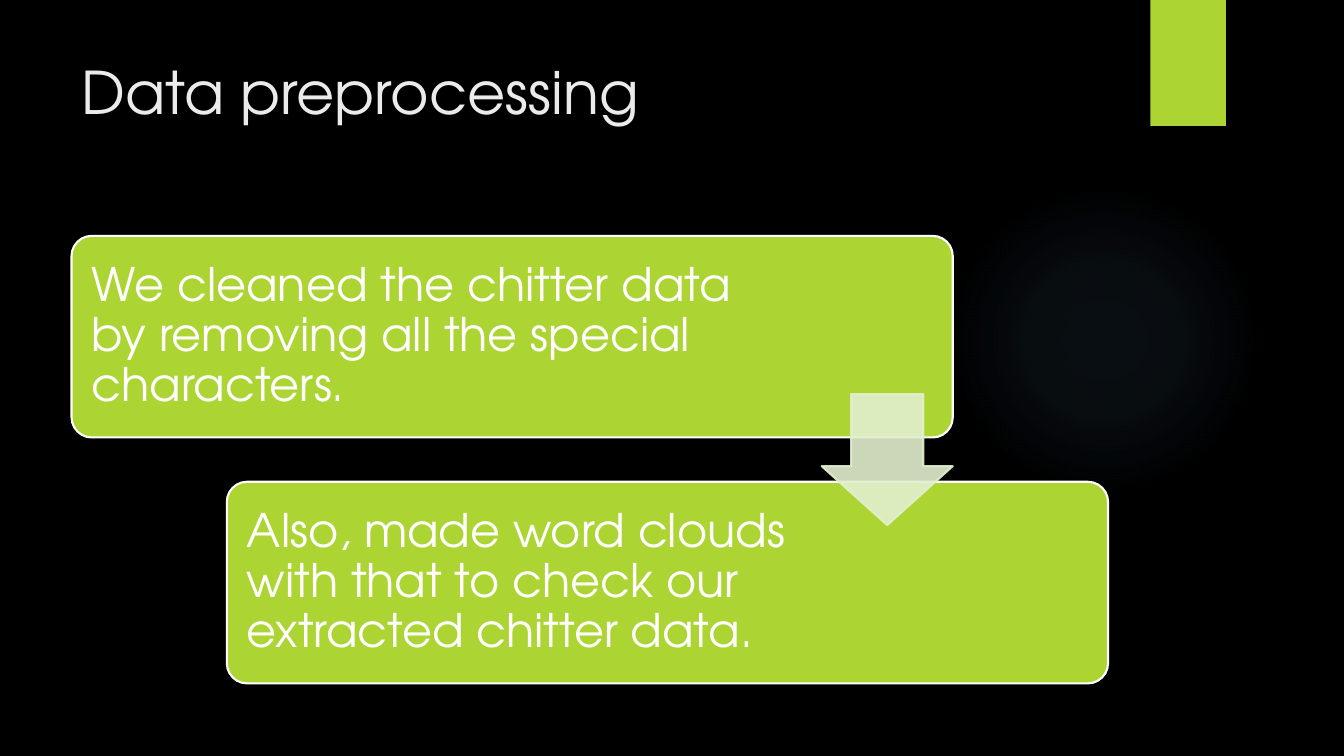
from lxml import etree
from pptx import Presentation
from pptx.dml.color import RGBColor
from pptx.enum.shapes import MSO_SHAPE
from pptx.enum.text import MSO_ANCHOR, PP_ALIGN
from pptx.oxml import parse_xml
from pptx.oxml.ns import nsdecls, qn
from pptx.util import Inches, Pt

FONT = "TeX Gyre Adventor"
LIME, PALE, WHITE = "ACD433", "E3EFCE", "FFFFFF"
LEFT = 0.71
BOX_W, BOX_H = 8.74, 2
STEP_X, STEP_Y = 1.54, 2.44
FIRST_TOP = 2.34
ARROW = 1.3


def rgb(value):
    return RGBColor.from_string(value)


def format_text(tf, size, color):
    for p in tf.paragraphs:
        p.alignment = PP_ALIGN.LEFT
        for r in p.runs:
            r.font.name = FONT
            r.font.size = Pt(size)
            r.font.color.rgb = rgb(color)


def set_opacity(fill_parent, percent):
    """Make the solid colour directly under fill_parent partly transparent."""
    color = fill_parent.find(qn("a:solidFill"))[0]
    etree.SubElement(color, qn("a:alpha"), val=str(percent * 1000))


def add_shape(s, kind, x, y, w, h, fill=None, line=None):
    sp = s.shapes.add_shape(kind, Inches(x), Inches(y), Inches(w), Inches(h))
    sp.shadow.inherit = False
    if fill:
        sp.fill.solid()
        sp.fill.fore_color.rgb = rgb(fill)
    else:
        sp.fill.background()
    if line:
        sp.line.color.rgb = rgb(line)
        sp.line.width = Pt(1.5)
    else:
        sp.line.fill.background()
    return sp


def add_glow(s, x, y, size, color, stops):
    """Circle with a radial fade; stops are (position, opacity) in percent."""
    sp = add_shape(s, MSO_SHAPE.OVAL, x, y, size, size)
    gs = "".join(
        f'<a:gs pos="{pos * 1000}"><a:srgbClr val="{color}">'
        f'<a:alpha val="{alpha * 1000}"/></a:srgbClr></a:gs>'
        for pos, alpha in stops
    )
    gradient = parse_xml(
        f'<a:gradFill {nsdecls("a")} rotWithShape="1"><a:gsLst>{gs}</a:gsLst>'
        '<a:path path="circle"><a:fillToRect l="50000" t="50000" r="50000" b="50000"/>'
        "</a:path></a:gradFill>"
    )
    sp_pr = sp._element.spPr
    sp_pr.replace(sp_pr.find(qn("a:noFill")), gradient)


def add_title(s, text):
    title = s.shapes.title
    title.left, title.top = Inches(LEFT), Inches(0.5)
    title.width, title.height = Inches(10.29), Inches(1.53)
    tf = title.text_frame
    tf.text = text
    tf.vertical_anchor = MSO_ANCHOR.TOP
    format_text(tf, 42, "EBEBEB")


def add_step(s, index, text, right_margin):
    sp = add_shape(s, MSO_SHAPE.ROUNDED_RECTANGLE, LEFT + index * STEP_X,
                   FIRST_TOP + index * STEP_Y, BOX_W, BOX_H, LIME, WHITE)
    sp.adjustments[0] = 0.1
    tf = sp.text_frame
    tf.word_wrap = True
    tf.vertical_anchor = MSO_ANCHOR.MIDDLE
    tf.margin_left = tf.margin_top = tf.margin_bottom = Inches(0.14)
    tf.margin_right = Inches(right_margin)
    tf.text = text
    tf.paragraphs[0].line_spacing = 0.9
    format_text(tf, 33, WHITE)


def add_step_arrow(s):
    sp = add_shape(s, MSO_SHAPE.DOWN_ARROW, LEFT + BOX_W - ARROW, 3.91,
                   ARROW, ARROW, PALE, PALE)
    sp.adjustments[0], sp.adjustments[1] = 0.55, 0.45
    sp_pr = sp._element.spPr
    set_opacity(sp_pr, 90)
    set_opacity(sp_pr.find(qn("a:ln")), 90)


def main():
    prs = Presentation()
    prs.slide_width, prs.slide_height = Inches(13.33), Inches(7.5)
    s = prs.slides.add_slide(prs.slide_layouts[5])
    s.background.fill.solid()
    s.background.fill.fore_color.rgb = rgb("000000")

    add_glow(s, 9.41, 1.83, 3.08, "7AC4F0", [(0, 7), (36, 6), (69, 0)])
    add_shape(s, MSO_SHAPE.RECTANGLE, 11.41, 0, 0.75, 1.25, LIME)
    add_title(s, "Data preprocessing")

    steps = [
        ("We cleaned the chitter data by removing all the special characters.", 2.08),
        ("Also, made word clouds with that to check our extracted chitter data.", 2.98),
    ]
    for index, (text, right_margin) in enumerate(steps):
        add_step(s, index, text, right_margin)
    add_step_arrow(s)

    prs.save("out.pptx")


if __name__ == "__main__":
    main()
